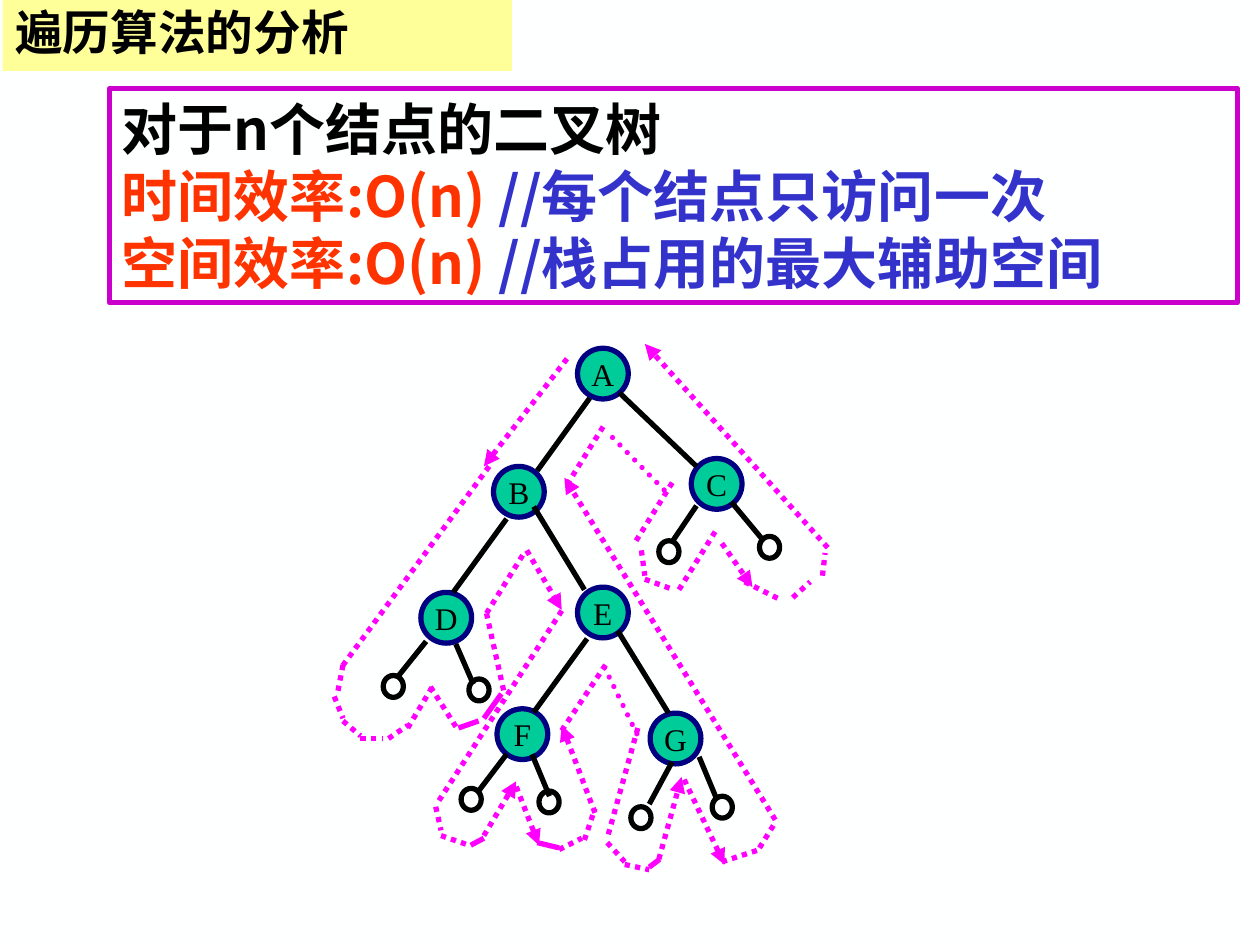
from dataclasses import dataclass

from lxml import etree
from pptx import Presentation
from pptx.dml.color import RGBColor
from pptx.enum.dml import MSO_LINE
from pptx.enum.shapes import MSO_CONNECTOR, MSO_SHAPE
from pptx.enum.text import MSO_ANCHOR, MSO_AUTO_SIZE, PP_ALIGN
from pptx.oxml.ns import qn
from pptx.util import Pt

DOTTED = MSO_LINE.ROUND_DOT
STRAIGHT = MSO_CONNECTOR.STRAIGHT
OVAL, RECTANGLE = MSO_SHAPE.OVAL, MSO_SHAPE.RECTANGLE
LEFT, CENTER = PP_ALIGN.LEFT, PP_ALIGN.CENTER
MIDDLE = MSO_ANCHOR.MIDDLE
NO_AUTOFIT = MSO_AUTO_SIZE.NONE
TITLE_ONLY = 5


@dataclass(frozen=True)
class Theme:
    background: str = "FEFFFF"
    ink: str = "000000"
    title_fill: str = "FFFF99"
    frame: str = "CC00CC"
    cost: str = "FF3300"
    comment: str = "3333CC"
    node_fill: str = "00CC99"
    node_line: str = "000080"
    route: str = "FF00FF"
    chinese: str = "Noto Sans CJK SC"
    latin: str = "Times New Roman"
    title_size: float = 27.2
    body_size: float = 32
    node_size: float = 18
    stroke: float = 3


THEME = Theme()
NODE_DIAMETER = 29
LEAF_SIZE = (11.5, 12.5)

SUMMARY = [
    [("对于n个结点的二叉树", THEME.ink)],
    [("时间效率:O(n) ", THEME.cost), ("//每个结点只访问一次", THEME.comment)],
    [("空间效率:O(n) ", THEME.cost), ("//栈占用的最大辅助空间", THEME.comment)],
]

# Left and top of each node and of each empty leaf
NODES = {
    "A": (330, 199), "B": (282, 266.5), "C": (395, 262), "D": (240.5, 338.5),
    "E": (330, 335.5), "F": (284, 405), "G": (371.5, 407.5),
}
LEAVES = [
    (219, 386), (268, 388), (263.5, 450.5), (308, 452),
    (360.5, 461), (407, 455), (434, 306.5), (376.5, 309),
]

# Every segment is x1, y1, x2, y2
BRANCHES = [
    (337, 227.5, 307, 269), (354, 224.5, 398, 266.5),  # A
    (289.5, 296.5, 259, 338.5), (305, 289.5, 334, 337),  # B
    (398, 289, 384.5, 309), (418, 287, 435.5, 308),  # C
    (243.5, 366.5, 227.5, 386.5), (260.5, 368, 270.5, 391),  # D
    (335.5, 365, 305, 407), (353, 360.5, 382, 407.5),  # E
    (289.5, 431, 273.5, 452), (304, 431, 314, 455),  # F
    (384, 435.5, 371, 459.5), (399.5, 432.5, 409.5, 456.5),  # G
]
ROUTE_ARROWS = [
    (324, 205, 276.5, 266.5), (301, 314.5, 321, 348.5),
    (276.5, 477.5, 295, 446.5), (295, 449.5, 308, 483),
    (340, 464.5, 321, 414.5), (376.5, 491, 389.5, 444),
    (391, 445.5, 414, 494), (443, 468.5, 322.5, 273),
    (412.5, 310.5, 430, 335.5), (473, 313, 368.5, 196.5),
]
ROUTE_DOTS = [
    # around D
    (279.5, 266.5, 195, 381.5), (196, 380, 193, 395.5),
    (191, 398, 196, 410.5), (196, 412, 206, 420.5),
    (206, 422, 219, 422), (222, 422, 233, 414.5),
    (233, 416, 248, 391), (246, 392.5, 261, 416),
    (278, 350.5, 288, 395.5), (278, 350.5, 299.5, 316),
    # around F
    (321, 349, 250.5, 458), (249, 461, 252, 474.5),
    (252, 477.5, 268, 483), (319.5, 485.5, 332.5, 479),
    (334, 480, 340, 462), (321, 417.5, 347, 378.5),
    # around G
    (364.5, 416, 347, 479), (347, 481.5, 357, 492.5),
    (357, 494, 371, 497), (412.5, 492.5, 434, 485.5),
    (434, 484.5, 443, 470),
    # around C
    (324, 277, 345.5, 242.5), (363.5, 309, 385, 274.5),
    (366.5, 314.5, 368.5, 329), (368.5, 331, 385, 337),
    (388, 337, 409.5, 302.5), (425.5, 332.5, 445.5, 342.5),
    (453, 341.5, 463, 332.5), (470, 329, 471.5, 316),
]
ROUTE_FINE_DOTS = [(345.5, 381.5, 364.5, 420.5), (350, 250, 381, 281.5)]
ROUTE_SOLID = [
    (262, 416, 273.5, 412), (276.5, 410.5, 286.5, 396.5),
    (269, 483, 276.5, 479), (307, 481.5, 319.5, 484.5),
    (371, 495.5, 377, 491),
]


def set_fill(fill, color):
    fill.solid()
    fill.fore_color.rgb = RGBColor.from_string(color)


def set_line(line, color):
    line.width = Pt(THEME.stroke)
    set_fill(line.fill, color)


def add_run(paragraph, text, font, size, color, bold=False):
    run = paragraph.add_run()
    run.text = text
    run.font.name = font
    run.font.size = Pt(size)
    run.font.bold = bold
    run.font.color.rgb = RGBColor.from_string(color)
    latin = run.font._element.find(qn("a:latin"))
    latin.addnext(latin.makeelement(qn("a:ea"), {"typeface": font}))


def add_outlined(shapes, kind, box, line_color, fill_color=None):
    shape = shapes.add_shape(kind, *map(Pt, box))
    shape.shadow.inherit = False
    set_line(shape.line, line_color)
    if fill_color:
        set_fill(shape.fill, fill_color)
    else:
        shape.fill.background()
    return shape


def add_title(slide):
    title = slide.shapes.title
    title.left, title.top, title.width, title.height = map(Pt, (1.5, 0, 291, 40.5))
    set_fill(title.fill, THEME.title_fill)
    frame = title.text_frame
    frame.auto_size = NO_AUTOFIT
    frame.vertical_anchor = MIDDLE
    paragraph = frame.paragraphs[0]
    paragraph.alignment = LEFT
    paragraph.line_spacing = 0.9
    add_run(paragraph, "遍历算法的分析", THEME.chinese, THEME.title_size, THEME.ink, True)


def add_summary(slide):
    box = (62.5, 50.5, 644.5, 122.5)
    frame = add_outlined(slide.shapes, RECTANGLE, box, THEME.frame).text_frame
    frame.word_wrap = True
    frame.vertical_anchor = MSO_ANCHOR.TOP
    for index, runs in enumerate(SUMMARY):
        paragraph = frame.add_paragraph() if index else frame.paragraphs[0]
        paragraph.alignment = LEFT
        for text, color in runs:
            add_run(paragraph, text, THEME.chinese, THEME.body_size, color, True)


def add_node(shapes, name, left, top):
    box = (left, top, NODE_DIAMETER, NODE_DIAMETER)
    node = add_outlined(shapes, OVAL, box, THEME.node_line, THEME.node_fill)
    frame = node.text_frame
    frame.word_wrap = False
    frame.vertical_anchor = MIDDLE
    frame.paragraphs[0].alignment = CENTER
    add_run(frame.paragraphs[0], name, THEME.latin, THEME.node_size, THEME.ink)


def add_segments(shapes, segments, color, dash=None, arrow=False, cap="flat"):
    for segment in segments:
        connector = shapes.add_connector(STRAIGHT, *map(Pt, segment))
        set_line(connector.line, color)
        if dash:
            connector.line.dash_style = dash
        properties = connector._element.spPr
        line = properties.find(qn("a:ln"))
        line.set("cap", cap)
        if arrow:
            etree.SubElement(line, qn("a:tailEnd"), type="triangle")
        etree.SubElement(properties, qn("a:effectLst"))


def add_tree(slide):
    shapes = slide.shapes.add_group_shape().shapes
    for name, (left, top) in NODES.items():
        add_node(shapes, name, left, top)
    for position in LEAVES:
        add_outlined(shapes, OVAL, position + LEAF_SIZE, THEME.ink)
    add_segments(shapes, BRANCHES, THEME.ink)
    add_segments(shapes, ROUTE_DOTS, THEME.route, DOTTED)
    add_segments(shapes, ROUTE_FINE_DOTS, THEME.route, DOTTED, cap="rnd")
    add_segments(shapes, ROUTE_SOLID, THEME.route)
    add_segments(shapes, ROUTE_ARROWS, THEME.route, DOTTED, arrow=True)


def main():
    presentation = Presentation()
    presentation.slide_width, presentation.slide_height = Pt(720), Pt(540)
    slide = presentation.slides.add_slide(presentation.slide_layouts[TITLE_ONLY])
    set_fill(slide.background.fill, THEME.background)
    add_title(slide)
    add_summary(slide)
    add_tree(slide)
    presentation.save("out.pptx")


if __name__ == "__main__":
    main()
